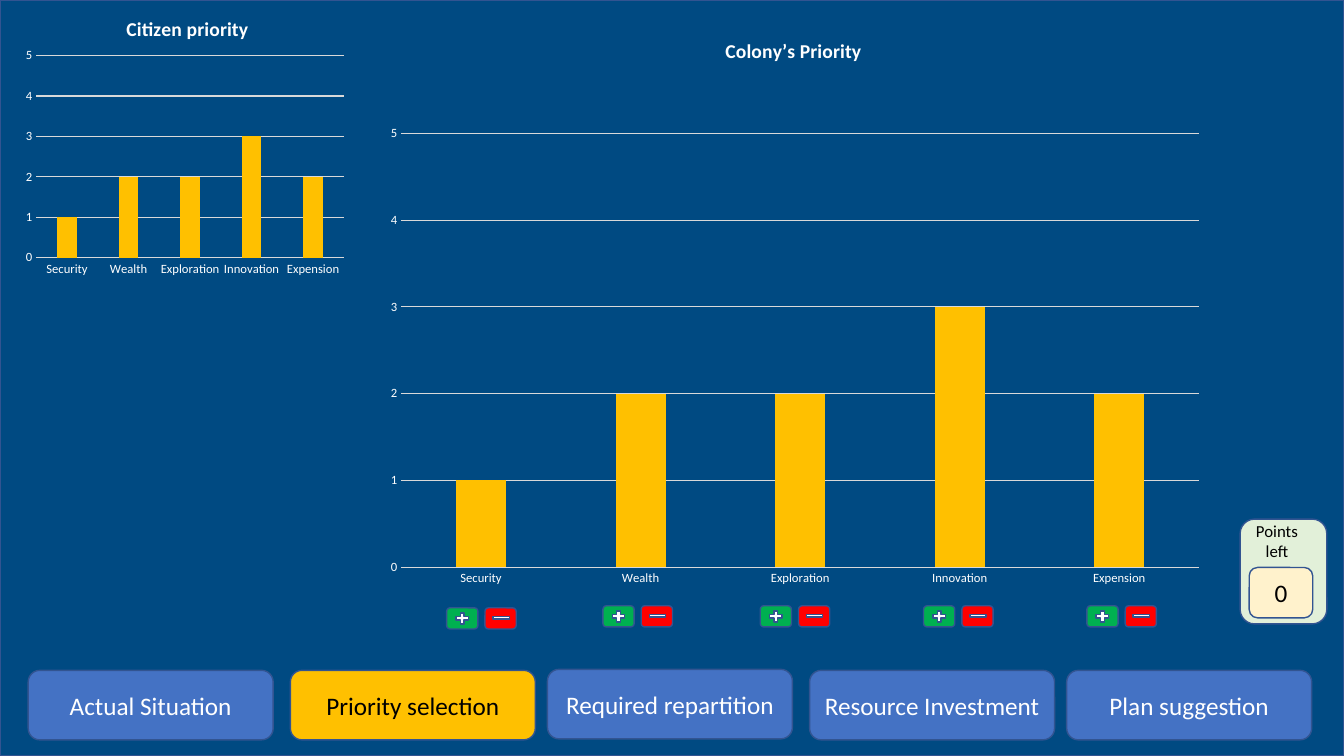
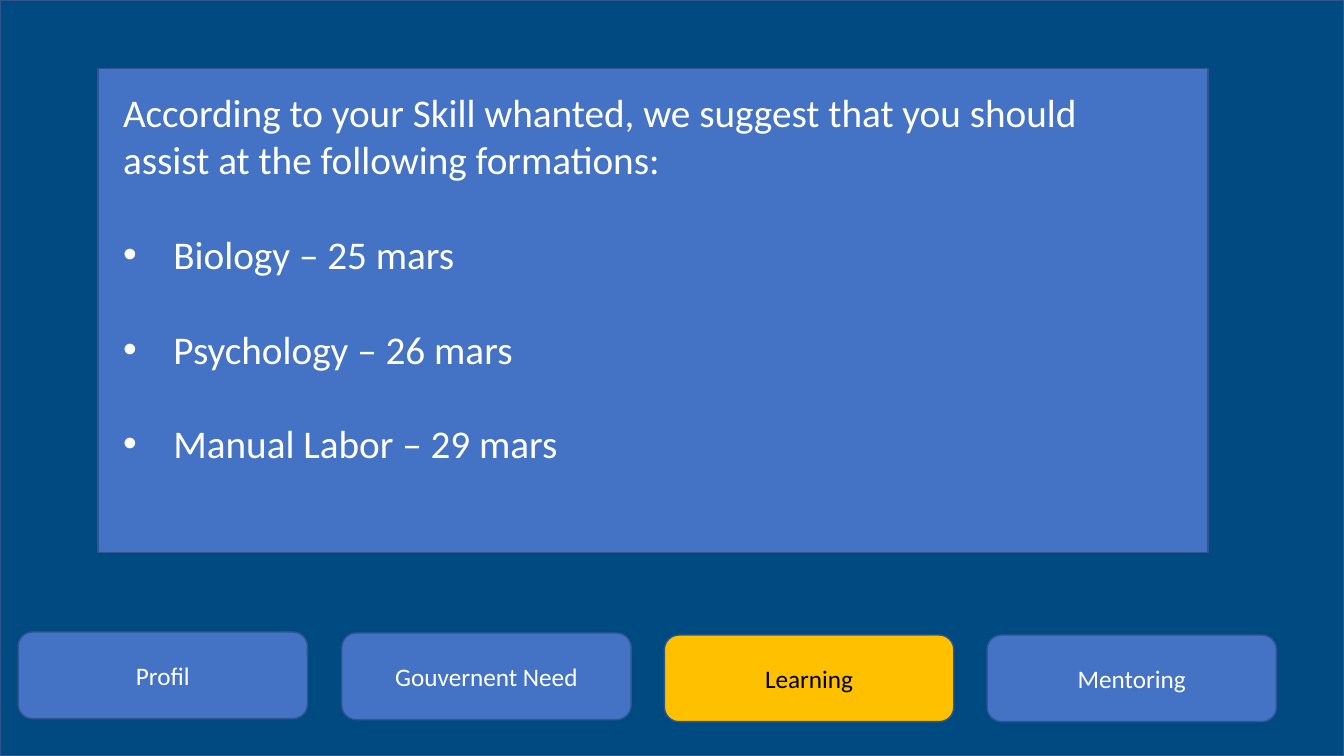
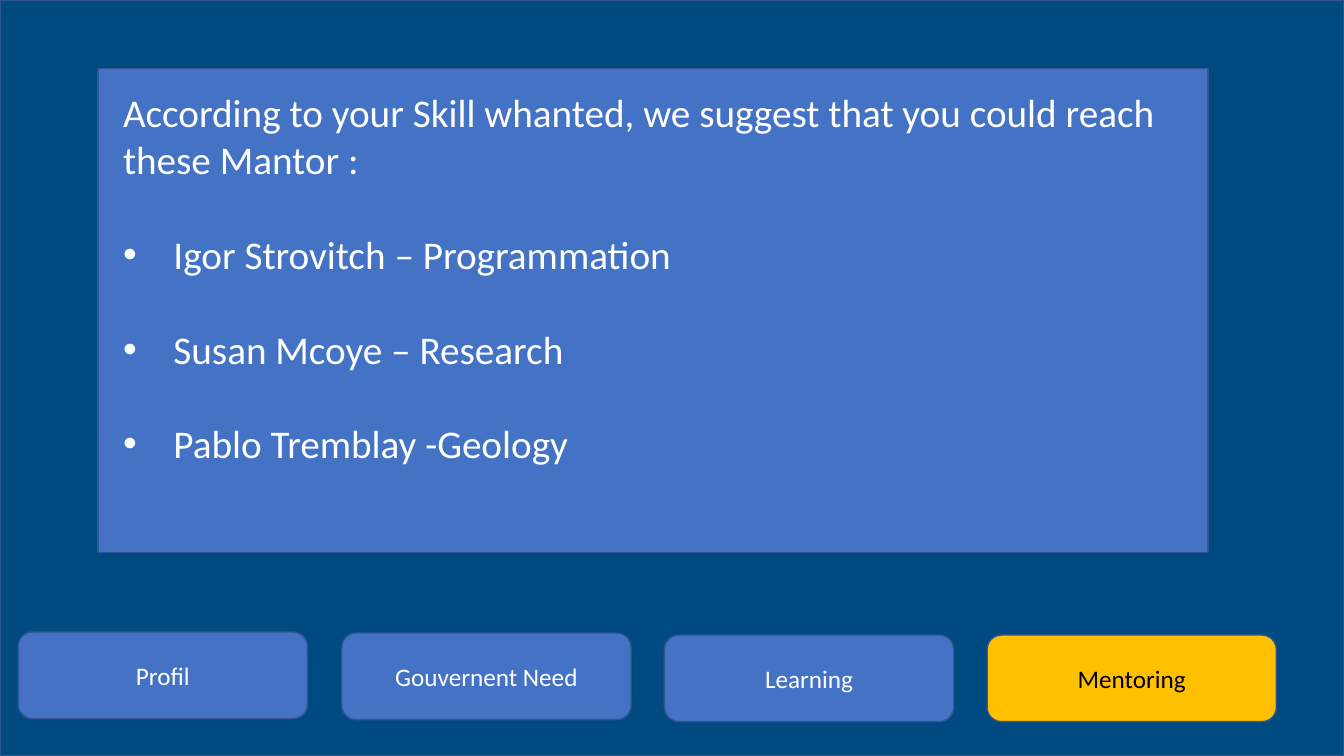
from pptx import Presentation
from pptx.chart.data import CategoryChartData
from pptx.dml.color import RGBColor
from pptx.enum.chart import XL_CHART_TYPE, XL_TICK_MARK
from pptx.enum.shapes import MSO_SHAPE
from pptx.enum.text import MSO_ANCHOR, PP_ALIGN
from pptx.oxml import parse_xml
from pptx.oxml.ns import nsdecls, qn
from pptx.util import Inches, Pt

RECT, ROUND = MSO_SHAPE.RECTANGLE, MSO_SHAPE.ROUNDED_RECTANGLE
PLUS, MINUS = MSO_SHAPE.MATH_PLUS, MSO_SHAPE.MATH_MINUS
LEFT, CENTER = PP_ALIGN.LEFT, PP_ALIGN.CENTER
TOP, MIDDLE = MSO_ANCHOR.TOP, MSO_ANCHOR.MIDDLE
COLUMNS, NO_TICKS = XL_CHART_TYPE.COLUMN_CLUSTERED, XL_TICK_MARK.NONE

NAVY = RGBColor(0x00, 0x4A, 0x82)
BLUE = RGBColor(0x44, 0x72, 0xC4)
OUTLINE = RGBColor(0x32, 0x54, 0x91)
GOLD = RGBColor(0xFF, 0xC0, 0x00)
GREEN = RGBColor(0x00, 0xB0, 0x50)
RED = RGBColor(0xFF, 0x00, 0x00)
MINT = RGBColor(0xE2, 0xF0, 0xD9)
CREAM = RGBColor(0xFF, 0xF2, 0xCC)
GRID = RGBColor(0xD9, 0xD9, 0xD9)
WHITE = RGBColor(0xFF, 0xFF, 0xFF)
BLACK = RGBColor(0x00, 0x00, 0x00)

FONT = "Calibri"
WIDTH, HEIGHT = 13.33, 7.5
PLOT_BOX = {"x": 0.059, "y": 0.195, "w": 0.897, "h": 0.721}

# Each button: label, left, top
COLONY_NAV = [
    ("Actual Situation", 0.28, 6.65),
    ("Priority selection", 2.88, 6.65),
    ("Required repartition", 5.43, 6.64),
    ("Resource Investment", 8.03, 6.65),
    ("Plan suggestion", 10.58, 6.65),
]
CITIZEN_NAV = [
    ("Profil", 0.18, 6.27),
    ("Gouvernent Need", 3.39, 6.28),
    ("Learning", 6.59, 6.3),
    ("Mentoring", 9.79, 6.3),
]
PRIORITIES = {"Security": 1, "Wealth": 2, "Exploration": 2,
              "Innovation": 3, "Expension": 2}
STEPPERS = [(4.43, 6.03), (5.98, 6.01), (7.54, 6.01), (9.16, 6.01), (10.78, 6.01)]


def inches(*lengths):
    return [Inches(n) for n in lengths]


def set_font(font, size, color):
    font.name, font.size, font.color.rgb = FONT, Pt(size), color


class Deck:
    def __init__(self):
        self.prs = Presentation()
        self.prs.slide_width, self.prs.slide_height = inches(WIDTH, HEIGHT)
        self.s = None

    def new_slide(self):
        self.s = self.prs.slides.add_slide(self.prs.slide_layouts[6])
        self.shape(RECT, (0, 0, WIDTH, HEIGHT), NAVY)

    def shape(self, kind, box, fill, parent=None):
        sp = (parent or self.s).shapes.add_shape(kind, *inches(*box))
        sp.shadow.inherit = False
        sp.fill.solid()
        sp.fill.fore_color.rgb = fill
        sp.line.color.rgb = OUTLINE
        sp.line.width = Pt(1)
        return sp

    def text(self, sp, lines, size, color, align=CENTER, anchor=MIDDLE):
        tf = sp.text_frame
        tf.word_wrap = True
        tf.vertical_anchor = anchor
        tf.text = "\n".join(lines)
        for p in tf.paragraphs:
            p.alignment = align
            for r in p.runs:
                set_font(r.font, size, color)
        return tf

    def label(self, box, text, size, color):
        sp = self.s.shapes.add_textbox(*inches(*box))
        self.text(sp, [text], size, color, anchor=TOP)

    def nav(self, buttons, active, width, height):
        for name, left, top in buttons:
            fill, color = (GOLD, BLACK) if name == active else (BLUE, WHITE)
            sp = self.shape(ROUND, (left, top, width, height), fill)
            self.text(sp, [name], 18, color)

    def stepper(self, left, top):
        """Group a green plus button with a red minus button."""
        group = self.s.shapes.add_group_shape()
        for kind, dx, dy, w, h, fill in (
                (ROUND, 0, 0, 0.31, 0.21, GREEN),
                (ROUND, 0.38, 0, 0.31, 0.21, RED),
                (PLUS, 0.07, 0.03, 0.17, 0.15, WHITE),
                (MINUS, 0.43, 0.05, 0.22, 0.1, WHITE)):
            self.shape(kind, (left + dx, top + dy, w, h), fill, group)

    def panel(self, intro, items):
        sp = self.shape(RECT, (0.97, 0.68, 11.01, 4.8), BLUE)
        tf = self.text(sp, [intro, *items], 28, WHITE, LEFT, TOP)
        tf.margin_left, tf.margin_top, tf.margin_right = inches(0.25, 0.2, 0.37)
        for p in tf.paragraphs[1:]:
            p.space_before = Pt(34)
            pPr = p._p.get_or_add_pPr()
            pPr.set("marL", str(Inches(0.5)))
            pPr.set("indent", str(Inches(-0.5)))
            pPr.append(parse_xml(f'<a:buFont {nsdecls("a")} typeface="Arial"/>'))
            pPr.append(parse_xml(f'<a:buChar {nsdecls("a")} char="•"/>'))

    def column_chart(self, box, title, values):
        data = CategoryChartData()
        data.categories = list(values)
        data.add_series("Series 1", list(values.values()))
        chart = self.s.shapes.add_chart(COLUMNS, *inches(*box), data).chart
        set_font(chart.font, 10, WHITE)
        chart.has_legend = False
        chart.has_title = True
        tf = chart.chart_title.text_frame
        tf.text = title
        set_font(tf.paragraphs[0].runs[0].font, 14, WHITE)

        plot = chart.plots[0]
        plot.gap_width, plot.overlap, plot.vary_by_categories = 219, -27, False
        fill = plot.series[0].format.fill
        fill.solid()
        fill.fore_color.rgb = GOLD

        cat_axis, val_axis = chart.category_axis, chart.value_axis
        for axis in (cat_axis, val_axis):
            axis.major_tick_mark = axis.minor_tick_mark = NO_TICKS
            set_font(axis.tick_labels.font, 9, WHITE)
        val_axis.minimum_scale, val_axis.maximum_scale = 0, 5
        val_axis.major_unit = 1
        val_axis.format.line.fill.background()
        for line in (cat_axis.format.line, val_axis.major_gridlines.format.line):
            line.color.rgb = GRID
            line.width = Pt(0.75)
        self.fix_plot_area(chart)

    def fix_plot_area(self, chart):
        """Place the plot by fractions of the chart and clear both backgrounds."""
        space = chart.element
        area = space.find(".//" + qn("c:plotArea"))
        for old in area.findall(qn("c:layout")):
            area.remove(old)
        modes = "".join(f'<c:{k}Mode val="edge"/>' for k in "xy")
        sizes = "".join(f'<c:{k} val="{v}"/>' for k, v in PLOT_BOX.items())
        area.insert(0, parse_xml(
            f'<c:layout {nsdecls("c")}><c:manualLayout><c:layoutTarget val="inner"/>'
            f'{modes}{sizes}</c:manualLayout></c:layout>'))
        clear = f'<c:spPr {nsdecls("c", "a")}><a:noFill/><a:ln><a:noFill/></a:ln></c:spPr>'
        area.append(parse_xml(clear))
        space.find(qn("c:chart")).addnext(parse_xml(clear))


def priority_slide(deck):
    deck.new_slide()
    deck.nav(COLONY_NAV, "Priority selection", 2.43, 0.69)
    for left, top in STEPPERS:
        deck.stepper(left, top)
    deck.shape(ROUND, (12.3, 5.15, 0.86, 1.04), MINT)
    deck.label((12.26, 5.12, 0.81, 0.5), "Points left", 12, BLACK)
    counter = deck.shape(ROUND, (12.39, 5.63, 0.63, 0.5), CREAM)
    deck.text(counter, ["0"], 18, BLACK)
    deck.column_chart((0.16, 0.01, 3.4, 2.78), "Citizen priority", PRIORITIES)
    deck.column_chart((3.46, 0.16, 8.82, 5.97), "Colony’s Priority", PRIORITIES)


def suggestion_slide(deck, active, intro, items):
    deck.new_slide()
    deck.panel(intro, items)
    deck.nav(CITIZEN_NAV, active, 2.87, 0.86)


def main():
    deck = Deck()
    priority_slide(deck)
    suggestion_slide(
        deck, "Learning",
        "According to your Skill whanted, we suggest that you should assist "
        "at the following formations:",
        ["Biology – 25 mars", "Psychology – 26 mars", "Manual Labor – 29 mars"])
    suggestion_slide(
        deck, "Mentoring",
        "According to your Skill whanted, we suggest that you could reach "
        "these Mantor :",
        ["Igor Strovitch – Programmation", "Susan Mcoye – Research",
         "Pablo Tremblay -Geology"])
    deck.prs.save("out.pptx")


if __name__ == "__main__":
    main()
